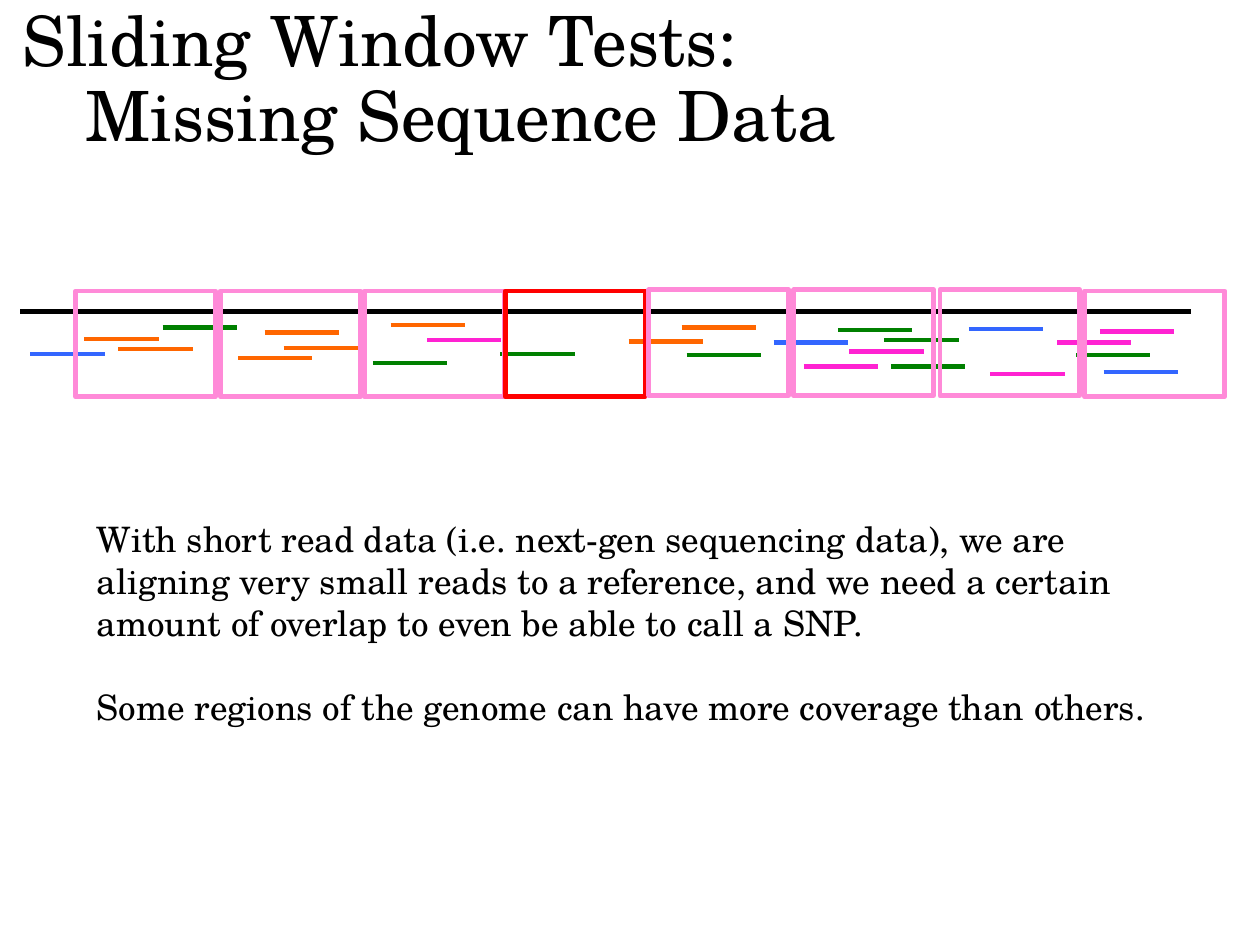
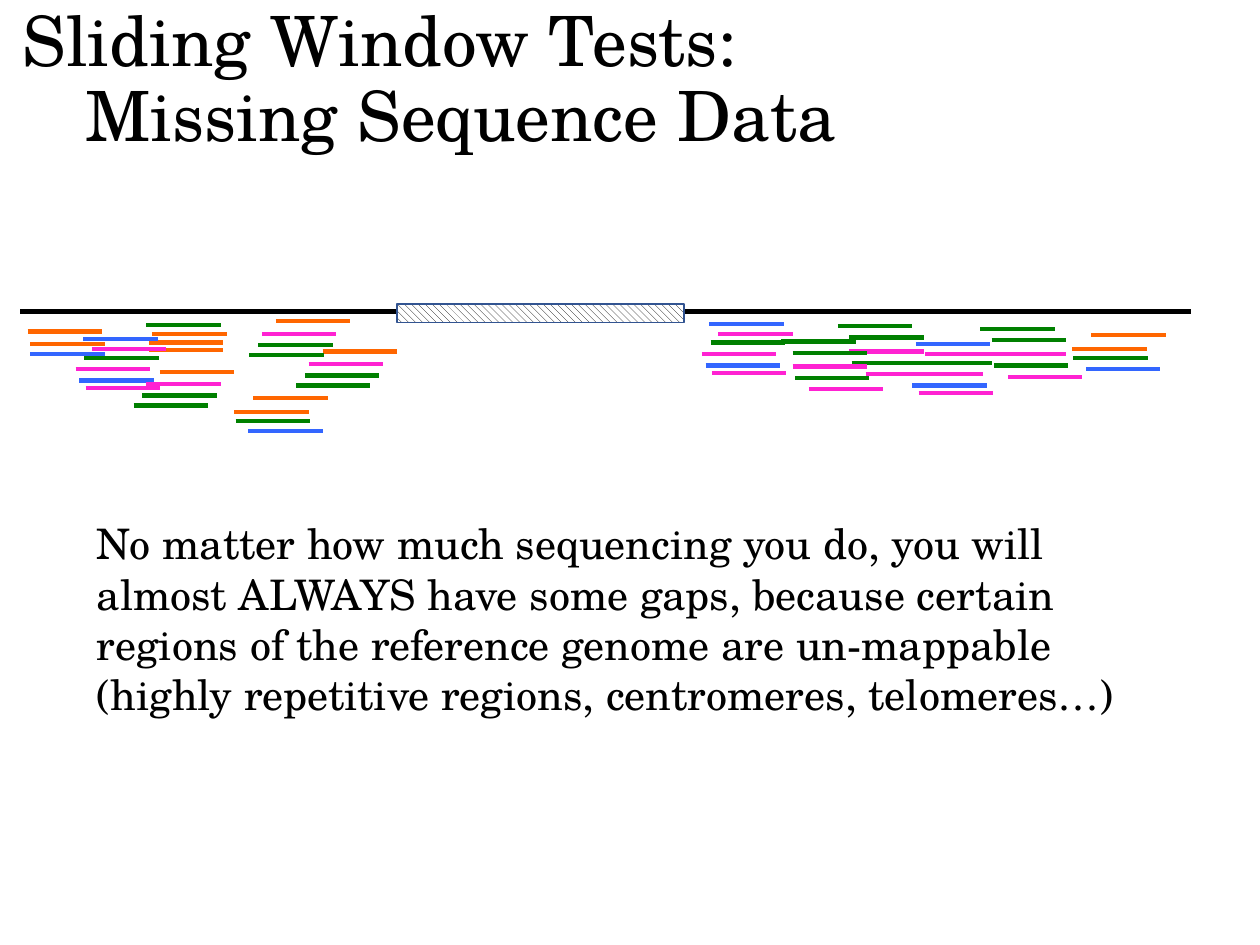
import pptx
import pptx.dml.color
import pptx.enum.dml
import pptx.enum.shapes
import pptx.enum.text
import pptx.util
from lxml import etree
from pptx.util import Inches, Pt

RGBColor = pptx.dml.color.RGBColor
BLACK = RGBColor(0x00, 0x00, 0x00)
WHITE = RGBColor(0xFF, 0xFF, 0xFF)
ORANGE = RGBColor(0xFF, 0x66, 0x00)
GREEN = RGBColor(0x00, 0x80, 0x00)
BLUE = RGBColor(0x33, 0x66, 0xFF)
PINK = RGBColor(0xFF, 0x22, 0xD2)
WINDOW_PINK = RGBColor(0xFF, 0x8A, 0xD8)
WINDOW_RED = RGBColor(0xFF, 0x00, 0x00)
GAP_BORDER = RGBColor(0x32, 0x54, 0x91)

FONT = "TeX Gyre Schola"
TITLE_LINES = ["Sliding Window Tests:", "\tMissing Sequence Data"]
READ_LENGTH = 0.59
WINDOW_SIZE = (1.11, 0.84)

SPARSE_READS = [
    (ORANGE, 0.94, 2.77), (ORANGE, 0.67, 2.69), (GREEN, 2.96, 2.88),
    (BLUE, 0.24, 2.81), (GREEN, 1.29, 2.6), (GREEN, 3.97, 2.81),
    (PINK, 3.39, 2.7), (ORANGE, 3.1, 2.58), (ORANGE, 2.25, 2.76),
    (ORANGE, 1.89, 2.84), (ORANGE, 2.1, 2.64), (BLUE, 6.14, 2.72),
    (BLUE, 8.76, 2.95), (PINK, 6.38, 2.91), (PINK, 7.86, 2.97),
    (GREEN, 8.54, 2.82), (PINK, 8.39, 2.72), (PINK, 8.73, 2.63),
    (GREEN, 5.45, 2.82), (ORANGE, 4.99, 2.71), (ORANGE, 5.41, 2.6),
    (BLUE, 7.69, 2.61), (GREEN, 7.07, 2.91), (PINK, 6.74, 2.79),
    (GREEN, 7.02, 2.7), (GREEN, 6.65, 2.62),
]
WINDOWS = [
    (0.6, 2.31, WINDOW_PINK), (1.75, 2.31, WINDOW_PINK),
    (2.89, 2.31, WINDOW_PINK), (4.01, 2.31, WINDOW_RED),
    (5.15, 2.3, WINDOW_PINK), (6.3, 2.3, WINDOW_PINK),
    (7.46, 2.3, WINDOW_PINK), (8.61, 2.31, WINDOW_PINK),
]

LEFT_END = [(ORANGE, 0.02, 0.1), (ORANGE, 0, 0), (BLUE, 0.02, 0.18)]
ORANGE_STACK = [(GREEN, 0, 0), (ORANGE, 0.02, 0.14), (ORANGE, 0.05, 0.07),
                (ORANGE, 0.02, 0.2)]
LOW_STACK = [(BLUE, 0.11, 0.26), (GREEN, 0.01, 0.18), (ORANGE, 0, 0.11),
             (ORANGE, 0.15, 0)]
RIGHT_END = [(BLUE, 0.11, 0.27), (GREEN, 0.01, 0.18), (ORANGE, 0, 0.11),
             (ORANGE, 0.15, 0)]
SLOPED_STACK = [(GREEN, 0.07, 0.19), (GREEN, 0, 0.27), (PINK, 0.1, 0.1),
                (ORANGE, 0.21, 0)]
BLUE_PINK_STACK = [(BLUE, 0.03, 0.33), (PINK, 0, 0.24), (GREEN, 0.07, 0.15),
                   (PINK, 0.13, 0.08), (PINK, 0.08, 0.39), (BLUE, 0.06, 0)]
GREEN_PINK_STACK = [(PINK, 0.22, 0.38), (GREEN, 0.11, 0.29), (PINK, 0.09, 0.2),
                    (GREEN, 0.09, 0.09), (GREEN, 0, 0)]
DENSE_STACKS = [
    (LEFT_END, 0.22, 2.63), (SLOPED_STACK, 2.35, 2.79),
    (ORANGE_STACK, 1.16, 2.58), (LOW_STACK, 1.86, 3.16),
    (BLUE_PINK_STACK, 7.21, 2.73), (GREEN_PINK_STACK, 6.65, 2.59),
    (BLUE_PINK_STACK, 0.6, 2.69), (SLOPED_STACK, 1.06, 2.95),
    (SLOPED_STACK, 1.98, 2.55), (GREEN_PINK_STACK, 6.2, 2.71),
    (GREEN_PINK_STACK, 7.78, 2.61), (BLUE_PINK_STACK, 5.57, 2.57),
    (RIGHT_END, 8.51, 2.66),
]


def add_line(shapes, x, y, length, color, width):
    line = shapes.add_connector(
        pptx.enum.shapes.MSO_CONNECTOR.STRAIGHT,
        Inches(x), Inches(y), Inches(x + length), Inches(y))
    line.line.color.rgb = color
    line.line.width = Pt(width)
    etree.SubElement(line._element.spPr, pptx.oxml.ns.qn("a:effectLst"))


def add_reads(shapes, reads, left=0, top=0):
    for color, x, y in reads:
        add_line(shapes, left + x, top + y, READ_LENGTH, color, 2.5)


def add_box(shapes, x, y, w, h, color, width):
    sp = shapes.add_shape(pptx.enum.shapes.MSO_SHAPE.RECTANGLE,
                          Inches(x), Inches(y), Inches(w), Inches(h))
    sp.shadow.inherit = False
    sp.fill.background()
    sp.line.color.rgb = color
    sp.line.width = Pt(width)
    return sp


def add_run(p, text, size):
    r = p.add_run()
    r.text = text
    r.font.name = FONT
    r.font.size = Pt(size)
    r.font.color.rgb = BLACK


def add_text_frame(s, x, y, w, h):
    tf = s.shapes.add_textbox(Inches(x), Inches(y), Inches(w), Inches(h)).text_frame
    tf.word_wrap = True
    return tf


def add_title(s):
    tf = add_text_frame(s, 0.08, 0.21, 8.62, 1.45)
    tf.vertical_anchor = pptx.enum.text.MSO_ANCHOR.MIDDLE
    tf.margin_bottom = Inches(0.63)
    p = tf.paragraphs[0]
    p.line_spacing = 0.9
    first, second = TITLE_LINES
    add_run(p, first, 39.6)
    p.add_line_break()
    add_run(p, second, 39.6)


def add_body(s, paragraphs, size, height):
    tf = add_text_frame(s, 0.67, 4.06, 8.72, height)
    tf.auto_size = pptx.enum.text.MSO_AUTO_SIZE.SHAPE_TO_FIT_TEXT
    for i, text in enumerate(paragraphs):
        p = tf.add_paragraph() if i else tf.paragraphs[0]
        if i:
            p.space_before = Pt(24)
        add_run(p, text, size)


def add_genome_slide(prs):
    s = prs.slides.add_slide(prs.slide_layouts[6])
    add_line(s.shapes, 0.16, 2.47, 9.29, BLACK, 3)
    add_title(s)
    return s


def add_coverage_slide(prs):
    s = add_genome_slide(prs)
    add_reads(s.shapes, SPARSE_READS)
    add_body(s, [
        "With short read data (i.e. next-gen sequencing data), we are aligning "
        "very small reads to a reference, and we need a certain amount of "
        "overlap to even be able to call a SNP.",
        "Some regions of the genome can have more coverage than others.",
    ], 20, 1.78)
    windows = s.shapes.add_group_shape().shapes
    for x, y, color in WINDOWS:
        add_box(windows, x, y, *WINDOW_SIZE, color, 2.75)


def add_gap_slide(prs):
    s = add_genome_slide(prs)
    for reads, left, top in DENSE_STACKS:
        add_reads(s.shapes.add_group_shape().shapes, reads, left, top)
    add_body(s, [
        "No matter how much sequencing you do, you will almost ALWAYS have some "
        "gaps, because certain regions of the reference genome are un-mappable "
        "(highly repetitive regions, centromeres, telomeres…)",
    ], 24, 1.72)
    gap = add_box(s.shapes, 3.15, 2.41, 2.28, 0.15, GAP_BORDER, 1)
    gap.fill.patterned()
    gap.fill.pattern = pptx.enum.dml.MSO_PATTERN.WIDE_DOWNWARD_DIAGONAL
    gap.fill.fore_color.rgb = BLACK
    gap.fill.back_color.rgb = WHITE


def main():
    prs = pptx.Presentation()
    prs.slide_width = Inches(10)
    prs.slide_height = Inches(7.5)
    add_coverage_slide(prs)
    add_gap_slide(prs)
    prs.save("out.pptx")


if __name__ == "__main__":
    main()
